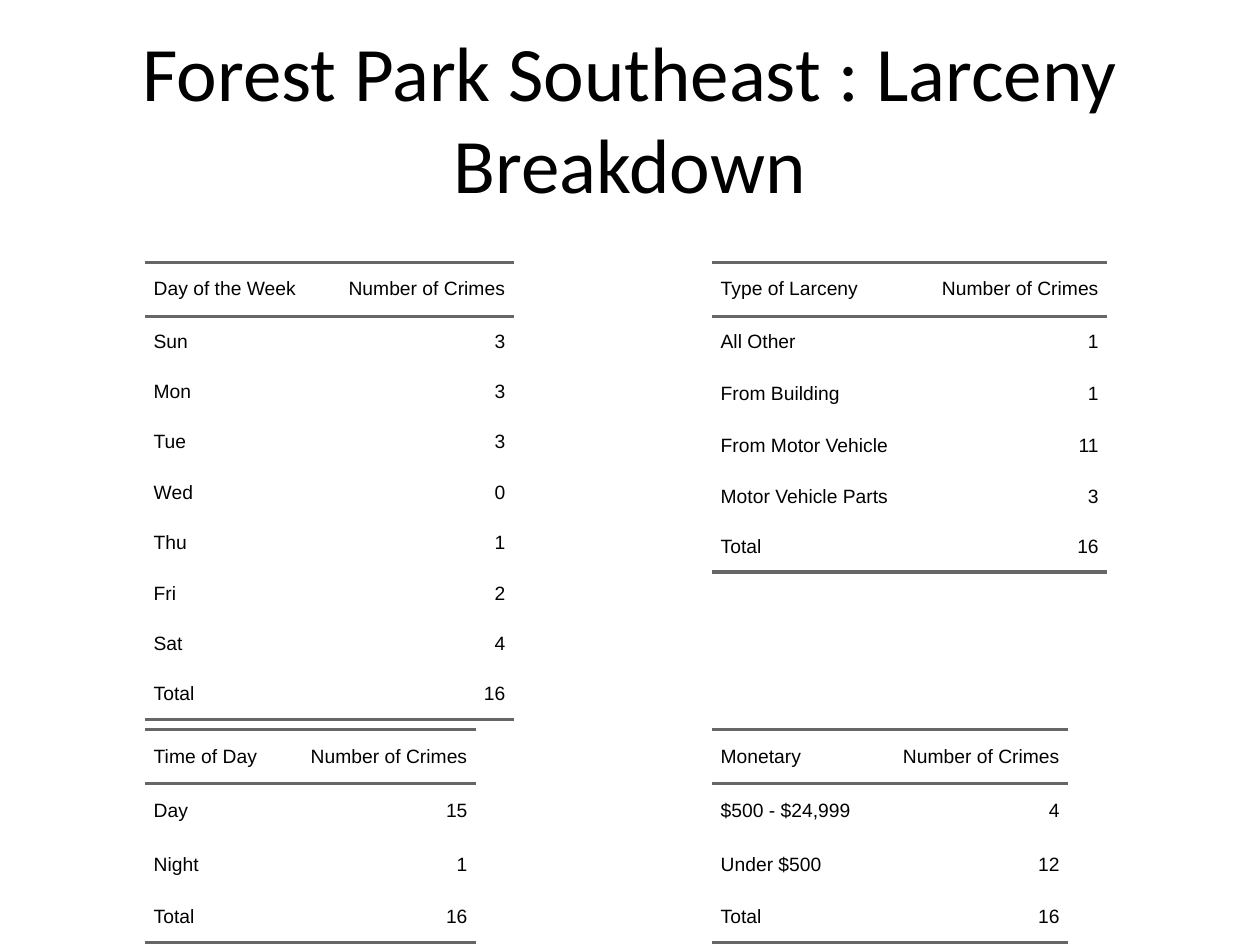
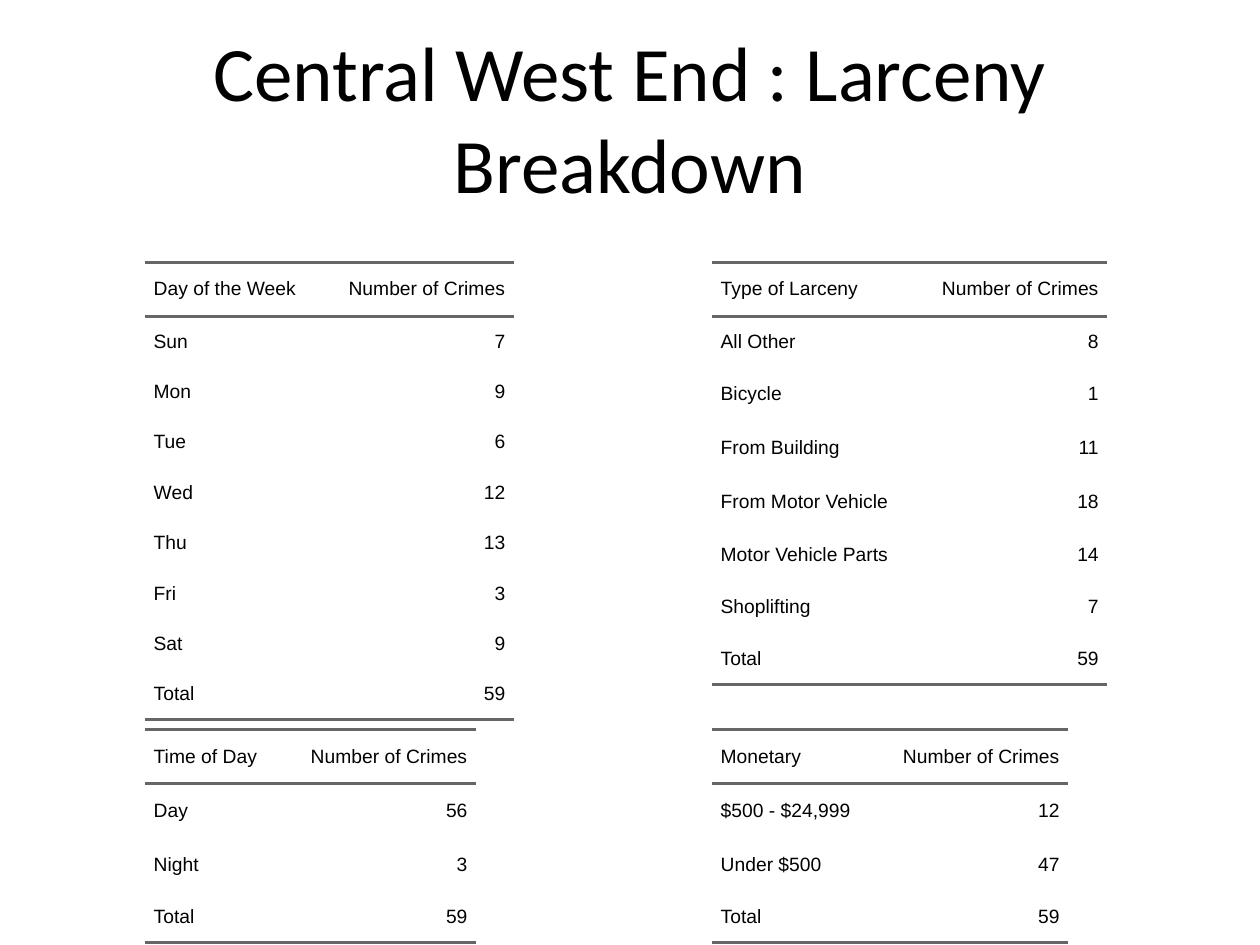
from dataclasses import dataclass

from lxml.etree import SubElement
from pptx import Presentation
from pptx.dml.color import RGBColor
from pptx.enum.text import MSO_ANCHOR, MSO_AUTO_SIZE, PP_ALIGN
from pptx.oxml.ns import qn
from pptx.util import Inches, Pt


@dataclass(frozen=True)
class Theme:
    ink: str = "000000"
    rule: str = "666666"
    rule_width: float = 2
    title_font: str = "Calibri"
    title_size: float = 44
    table_font: str = "Arial"
    table_size: float = 11


THEME = Theme()
PLAIN_TABLE_STYLE = "{2D5ABB26-0587-4C30-8999-92F81FD0307C}"

# Two by two grid of tables, in inches
GRID_LEFT, GRID_TOP = 1.15, 2.08
COLUMN_PITCH, ROW_PITCH = 4.5, 3.71
COUNT_WIDTH = 1.52
CELL_INDENT = 0.07
SHORT_ROW, TALL_ROW = 0.4, 0.43

DAYS = ["Sun", "Mon", "Tue", "Wed", "Thu", "Fri", "Sat"]
TIMES = ["Day", "Night"]
AMOUNTS = ["$500 - $24,999", "Under $500"]

# Tall lists the larceny types that take a taller row
NEIGHBORHOODS = [
    {
        "name": "Forest Park Southeast",
        "days": [3, 3, 3, 0, 1, 2, 4],
        "times": [15, 1],
        "types": {"All Other": 1, "From Building": 1,
                  "From Motor Vehicle": 11, "Motor Vehicle Parts": 3},
        "tall": ["From Building"],
        "amounts": [4, 12],
    },
    {
        "name": "Central West End",
        "days": [7, 9, 6, 12, 13, 3, 9],
        "times": [56, 3],
        "types": {"All Other": 8, "Bicycle": 1, "From Building": 11,
                  "From Motor Vehicle": 18, "Motor Vehicle Parts": 14,
                  "Shoplifting": 7},
        "tall": ["Bicycle", "From Building", "From Motor Vehicle", "Shoplifting"],
        "amounts": [12, 47],
    },
]


def write(paragraph, text, font, size, align):
    paragraph.alignment = align
    run = paragraph.add_run()
    run.text = text
    run.font.name = font
    run.font.size = Pt(size)
    run.font.color.rgb = RGBColor.from_string(THEME.ink)


def add_title(slide, text):
    title = slide.shapes.title
    title.left, title.top = Inches(0.5), Inches(0.3)
    title.width, title.height = Inches(9), Inches(1.25)
    frame = title.text_frame
    frame.word_wrap = True
    frame.auto_size = MSO_AUTO_SIZE.NONE
    frame.vertical_anchor = MSO_ANCHOR.MIDDLE
    write(frame.paragraphs[0], text, THEME.title_font, THEME.title_size,
          PP_ALIGN.CENTER)


def rule_edges(cell, edges):
    """Draw a rule on the given edges: T for top, B for bottom."""
    properties = cell._tc.get_or_add_tcPr()
    for edge in edges:
        line = SubElement(properties, qn(f"a:ln{edge}"),
                          w=str(Pt(THEME.rule_width)))
        fill = SubElement(line, qn("a:solidFill"))
        SubElement(fill, qn("a:srgbClr"), val=THEME.rule)


def fill_cell(cell, text, align, edges):
    rule_edges(cell, edges)
    cell.fill.background()
    cell.margin_left = cell.margin_right = Inches(CELL_INDENT)
    cell.margin_top = cell.margin_bottom = 0
    cell.vertical_anchor = MSO_ANCHOR.MIDDLE
    write(cell.text_frame.paragraphs[0], text, THEME.table_font,
          THEME.table_size, align)


def add_breakdown(slide, column, row, heading, counts, label_width, tall=()):
    """Place a table of counts, closed by their total, in a place of the grid."""
    lines = [(heading, "Number of Crimes"), *counts.items(),
             ("Total", sum(counts.values()))]
    heights = [TALL_ROW if label in (heading, *tall) else SHORT_ROW
               for label, _ in lines]
    widths = [label_width, COUNT_WIDTH]
    frame = slide.shapes.add_table(
        len(lines), len(widths),
        Inches(GRID_LEFT + column * COLUMN_PITCH),
        Inches(GRID_TOP + row * ROW_PITCH),
        Inches(sum(widths)), Inches(sum(heights)))
    table = frame.table
    table.first_row = table.horz_banding = False
    table._tbl.tblPr.find(qn("a:tableStyleId")).text = PLAIN_TABLE_STYLE

    for table_column, width in zip(table.columns, widths):
        table_column.width = Inches(width)
    for index, (line, height) in enumerate(zip(lines, heights)):
        table.rows[index].height = Inches(height)
        edges = "TB" if index == 0 else "B" if index == len(lines) - 1 else ""
        for position, align in enumerate((PP_ALIGN.LEFT, PP_ALIGN.RIGHT)):
            fill_cell(table.cell(index, position), str(line[position]), align, edges)


def add_neighborhood(deck, area):
    slide = deck.slides.add_slide(deck.slide_layouts[5])
    add_title(slide, f"{area['name']} : Larceny Breakdown")
    add_breakdown(slide, 0, 0, "Day of the Week",
                  dict(zip(DAYS, area["days"])), 1.41)
    add_breakdown(slide, 0, 1, "Time of Day",
                  dict(zip(TIMES, area["times"])), 1.11, TIMES)
    add_breakdown(slide, 1, 0, "Type of Larceny", area["types"], 1.62, area["tall"])
    add_breakdown(slide, 1, 1, "Monetary",
                  dict(zip(AMOUNTS, area["amounts"])), 1.31, AMOUNTS)


def main():
    deck = Presentation()
    deck.slide_width, deck.slide_height = Inches(10), Inches(7.5)
    for area in NEIGHBORHOODS:
        add_neighborhood(deck, area)
    deck.save("out.pptx")


if __name__ == "__main__":
    main()
